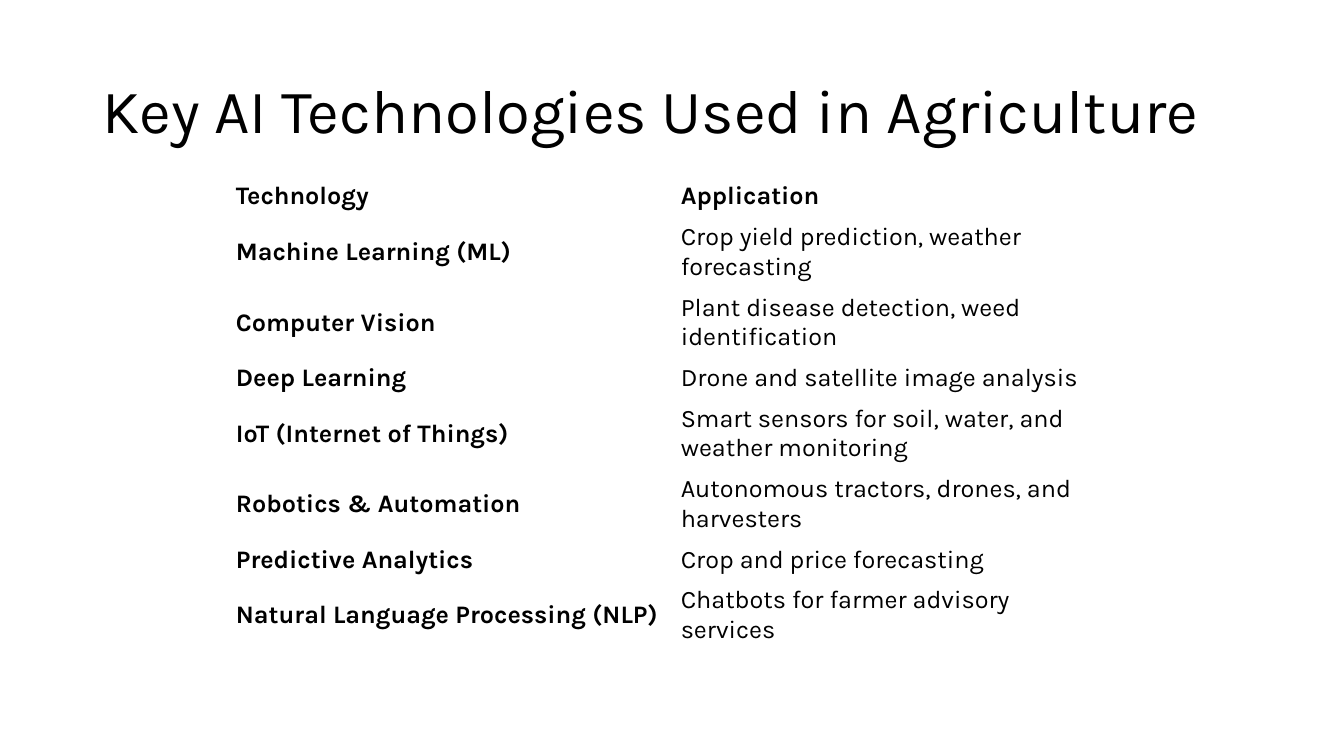
from dataclasses import dataclass

from pptx import Presentation
from pptx.dml.color import RGBColor
from pptx.enum.text import MSO_ANCHOR
from pptx.slide import Slide
from pptx.text.text import _Paragraph
from pptx.util import Pt

FONT = "Karla"
INK = "000000"
COLUMN_WIDTH = 317.8
ONE_LINE, TWO_LINES = 28.8, 50.4


@dataclass(frozen=True)
class Entry:
    technology: str
    application: str
    height: float = ONE_LINE
    is_header: bool = False


ENTRIES = [
    Entry("Technology", "Application", is_header=True),
    Entry("Machine Learning (ML)", "Crop yield prediction, weather forecasting", TWO_LINES),
    Entry("Computer Vision", "Plant disease detection, weed identification", TWO_LINES),
    Entry("Deep Learning", "Drone and satellite image analysis"),
    Entry("IoT (Internet of Things)", "Smart sensors for soil, water, and weather monitoring", TWO_LINES),
    Entry("Robotics & Automation", "Autonomous tractors, drones, and harvesters", TWO_LINES),
    Entry("Predictive Analytics", "Crop and price forecasting"),
    Entry("Natural Language Processing (NLP)", "Chatbots for farmer advisory services"),
]


def color(value: str) -> RGBColor:
    return RGBColor.from_string(value)


def add_run(paragraph: _Paragraph, text: str, size: float, bold: bool = False) -> None:
    run = paragraph.add_run()
    run.text = text
    run.font.name = FONT
    run.font.size = Pt(size)
    run.font.bold = bold
    run.font.color.rgb = color(INK)


def add_heading(slide: Slide, text: str) -> None:
    heading = slide.shapes.add_textbox(Pt(66), Pt(28.75), Pt(828), Pt(104.4)).text_frame
    heading.word_wrap = True
    heading.vertical_anchor = MSO_ANCHOR.MIDDLE
    heading.paragraphs[0].line_spacing = 0.9
    add_run(heading.paragraphs[0], text, 44)


def add_technologies(slide: Slide, entries: list[Entry]) -> None:
    """Add the unfilled two-column table of technologies and applications."""
    height = sum(entry.height for entry in entries)
    technologies = slide.shapes.add_table(
        len(entries), 2, Pt(161.3), Pt(126), Pt(2 * COLUMN_WIDTH), Pt(height)
    ).table
    technologies.first_row = False
    technologies.horz_banding = False
    for column in technologies.columns:
        column.width = Pt(COLUMN_WIDTH)
    for row, entry in zip(technologies.rows, entries):
        row.height = Pt(entry.height)
        contents = [(entry.technology, True), (entry.application, entry.is_header)]
        for cell, (text, bold) in zip(row.cells, contents):
            cell.fill.background()
            cell.vertical_anchor = MSO_ANCHOR.MIDDLE
            add_run(cell.text_frame.paragraphs[0], text, 18, bold)


def main() -> None:
    presentation = Presentation()
    presentation.slide_width = Pt(960)
    presentation.slide_height = Pt(540)
    slide = presentation.slides.add_slide(presentation.slide_layouts[6])
    add_heading(slide, "Key AI Technologies Used in Agriculture")
    add_technologies(slide, ENTRIES)
    presentation.save("out.pptx")


if __name__ == "__main__":
    main()
